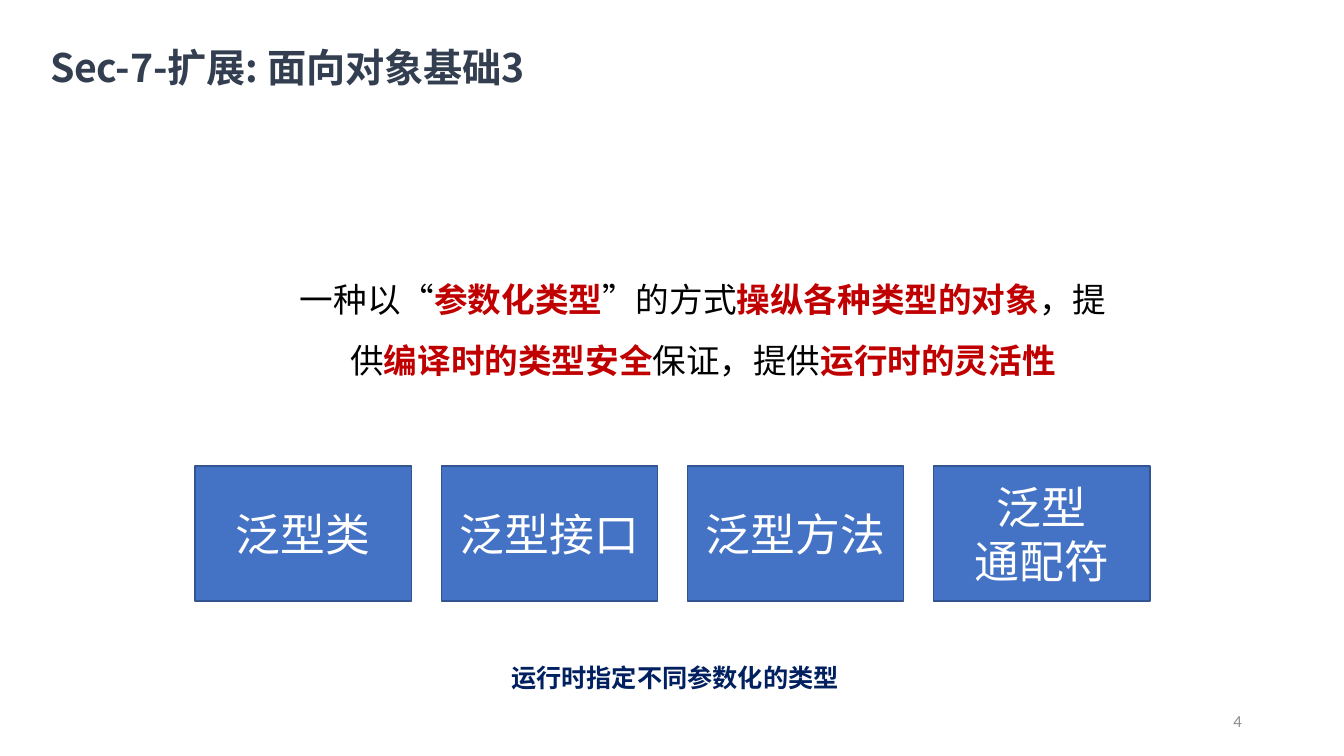
import pptx
import pptx.util
import pptx.dml.color
import pptx.enum.text
import pptx.enum.shapes
import pptx.oxml.ns
import lxml.etree

RGB = pptx.dml.color.RGBColor
ALIGN = pptx.enum.text.PP_ALIGN
ANCHOR = pptx.enum.text.MSO_ANCHOR
FIT = pptx.enum.text.MSO_AUTO_SIZE

SLATE = RGB(0x33, 0x3F, 0x50)
BLACK = RGB(0, 0, 0)
RED = RGB(0xC0, 0, 0)
WHITE = RGB(0xFF, 0xFF, 0xFF)
BLUE = RGB(0x44, 0x72, 0xC4)
EDGE = RGB(0x32, 0x54, 0x91)
NAVY = RGB(0, 0x20, 0x60)
GREY = RGB(0x8C, 0x8C, 0x8C)
NOTO = "Noto Sans CJK SC"
SCALE = 914400 / 100.8
KINDS = ["泛型类", "泛型接口", "泛型方法", "泛型\n通配符"]


def px(count):
    return pptx.util.Emu(round(count * SCALE))


def write(frame, text, size, color, font="Calibri", bold=False,
          align=ALIGN.CENTER, anchor=ANCHOR.TOP, space=None, track=None):
    frame.word_wrap = True
    frame.auto_size = FIT.NONE
    frame.vertical_anchor = anchor
    for row, line in enumerate(text.split("\n")):
        para = frame.add_paragraph() if row else frame.paragraphs[0]
        para.alignment = align
        para.line_spacing = space
        for turn, part in enumerate(line.split("*")):
            if not part:
                continue
            strong = turn % 2 == 1
            run = para.add_run()
            run.text = part
            run.font.size = pptx.util.Pt(size)
            run.font.name = font
            run.font.bold = bold or strong
            run.font.color.rgb = RED if strong else color
            props = run.font._element
            if track:
                props.set("spc", str(track))
            if font == NOTO:
                east = lxml.etree.SubElement(props, pptx.oxml.ns.qn("a:ea"))
                east.set("typeface", font)


def label(slide, box, text, size, color, **style):
    shape = slide.shapes.add_textbox(*map(px, box))
    write(shape.text_frame, text, size, color, **style)


def head(slide, box, text):
    title = slide.shapes.title
    title.left, title.top, title.width, title.height = map(px, box)
    frame = title.text_frame
    frame.margin_left = frame.margin_right = frame.margin_bottom = 0
    frame.margin_top = px(1)
    write(frame, text, 28, SLATE, font=NOTO, bold=True,
          align=ALIGN.LEFT, track=-10)


def tiles(slide, box, names, gap):
    left, top, width, height = box
    wide = (width - gap * (len(names) - 1)) / len(names)
    for spot, name in enumerate(names):
        tile = slide.shapes.add_shape(
            pptx.enum.shapes.MSO_SHAPE.RECTANGLE,
            px(left + spot * (wide + gap)), px(top), px(wide), px(height))
        tile.shadow.inherit = False
        tile.fill.solid()
        tile.fill.fore_color.rgb = BLUE
        tile.line.color.rgb = EDGE
        tile.line.width = pptx.util.Pt(1)
        write(tile.text_frame, name, 32, WHITE, anchor=ANCHOR.MIDDLE)


def main():
    deck = pptx.Presentation()
    deck.slide_width = px(1344)
    deck.slide_height = px(756)
    slide = deck.slides.add_slide(deck.slide_layouts[5])
    head(slide, (50, 42, 653, 48), "Sec-7-扩展: 面向对象基础3")
    label(slide, (282, 254, 842, 125),
          "一种以“*参数化类型*”的方式*操纵各种类型的对象*，提供"
          "*编译时的类型安全*保证，提供*运行时的灵活性*",
          24, BLACK, font=NOTO, space=1.5)
    tiles(slide, (195, 466, 955, 135), KINDS, 30)
    label(slide, (437, 657, 476, 40), "运行时指定不同参数化的类型",
          18, NAVY, font=NOTO, bold=True)
    label(slide, (950, 701, 302, 40), "4", 12, GREY,
          align=ALIGN.RIGHT, anchor=ANCHOR.MIDDLE)
    deck.save("out.pptx")


if __name__ == "__main__":
    main()
